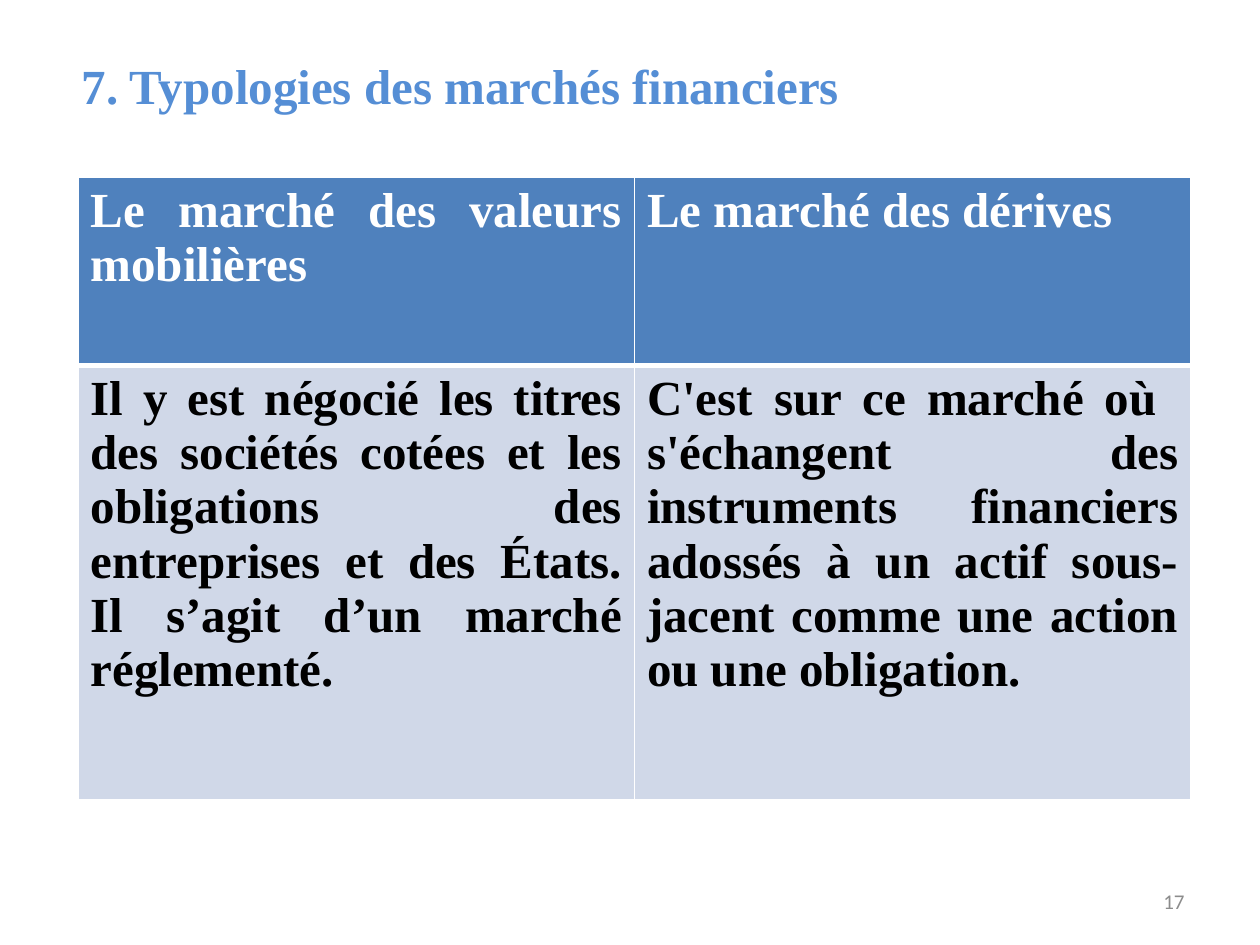
from lxml import etree
from pptx import Presentation
from pptx.dml.color import RGBColor
from pptx.enum.text import MSO_ANCHOR, MSO_AUTO_SIZE, PP_ALIGN
from pptx.oxml.ns import qn
from pptx.util import Inches, Pt

LEFT, RIGHT, JUST = PP_ALIGN.LEFT, PP_ALIGN.RIGHT, PP_ALIGN.JUSTIFY
TOP, MIDDLE = MSO_ANCHOR.TOP, MSO_ANCHOR.MIDDLE
NO_FIT = MSO_AUTO_SIZE.NONE

COLORS = {"title": "558ED5", "head": "4F81BD", "body": "D0D8E8",
          "white": "FFFFFF", "black": "000000", "gray": "8C8C8C"}
MAIN = {"name": "Times New Roman", "size": Pt(28), "bold": True}
SMALL = {"name": "Calibri", "size": Pt(12), "bold": False}

ROWS = [
    ["Le marché des valeurs mobilières", "Le marché des dérives"],
    ["Il y est négocié les titres des sociétés cotées et les obligations "
     "des entreprises et des États. Il s’agit d’un marché réglementé.",
     "C'est sur ce marché où  s'échangent des instruments financiers adossés "
     "à un actif sous-jacent comme une action ou une obligation."],
]
HEIGHTS = [1.49, 3.45]
# Fill, text colour and bottom line width of each row
STYLES = [("head", "white", 3), ("body", "black", 1)]


def color(key):
    return RGBColor.from_string(COLORS[key])


def write(frame, text, style, key, align):
    para = frame.paragraphs[0]
    para.alignment = align
    run = para.add_run()
    run.text = text
    for name, value in style.items():
        setattr(run.font, name, value)
    run.font.color.rgb = color(key)


def set_frame(frame, anchor):
    for name, value in {"word_wrap": True, "auto_size": NO_FIT,
                        "vertical_anchor": anchor}.items():
        setattr(frame, name, value)


def place(shape, left, top, width, height):
    box = {"left": left, "top": top, "width": width, "height": height}
    for name, value in box.items():
        setattr(shape, name, Inches(value))


def add_lines(cell, base):
    props = cell._tc.get_or_add_tcPr()
    widths = {"a:lnL": 1, "a:lnR": 1, "a:lnT": 1, "a:lnB": base}
    for spot, (tag, width) in enumerate(widths.items()):
        line = etree.Element(qn(tag), w=str(Pt(width)))
        fill = etree.SubElement(line, qn("a:solidFill"))
        etree.SubElement(fill, qn("a:srgbClr"), val=COLORS["white"])
        props.insert(spot, line)


def add_title(slide, text):
    title = slide.shapes.title
    place(title, 0.55, 0.39, 8.52, 0.57)
    set_frame(title.text_frame, TOP)
    write(title.text_frame, text, MAIN, "title", LEFT)


def add_grid(slide):
    frame = slide.shapes.add_table(
        len(ROWS), len(ROWS[0]), Inches(0.62), Inches(1.41),
        Inches(8.83), Inches(sum(HEIGHTS)))
    grid = frame.table
    for r, (texts, style) in enumerate(zip(ROWS, STYLES)):
        fill, ink, base = style
        grid.rows[r].height = Inches(HEIGHTS[r])
        for c, text in enumerate(texts):
            cell = grid.cell(r, c)
            cell.fill.solid()
            cell.fill.fore_color.rgb = color(fill)
            add_lines(cell, base)
            write(cell.text_frame, text, MAIN, ink, JUST)


def add_number(slide, text):
    box = slide.shapes.add_textbox(
        Inches(7.17), Inches(6.95), Inches(2.33), Inches(0.4))
    set_frame(box.text_frame, MIDDLE)
    write(box.text_frame, text, SMALL, "gray", RIGHT)


def main():
    deck = Presentation()
    deck.slide_width, deck.slide_height = Inches(10), Inches(7.5)
    slide = deck.slides.add_slide(deck.slide_layouts[5])
    # Heading, comparison table, page number
    add_title(slide, "7. Typologies des marchés financiers")
    add_grid(slide)
    add_number(slide, "17")
    deck.save("out.pptx")


if __name__ == "__main__":
    main()
